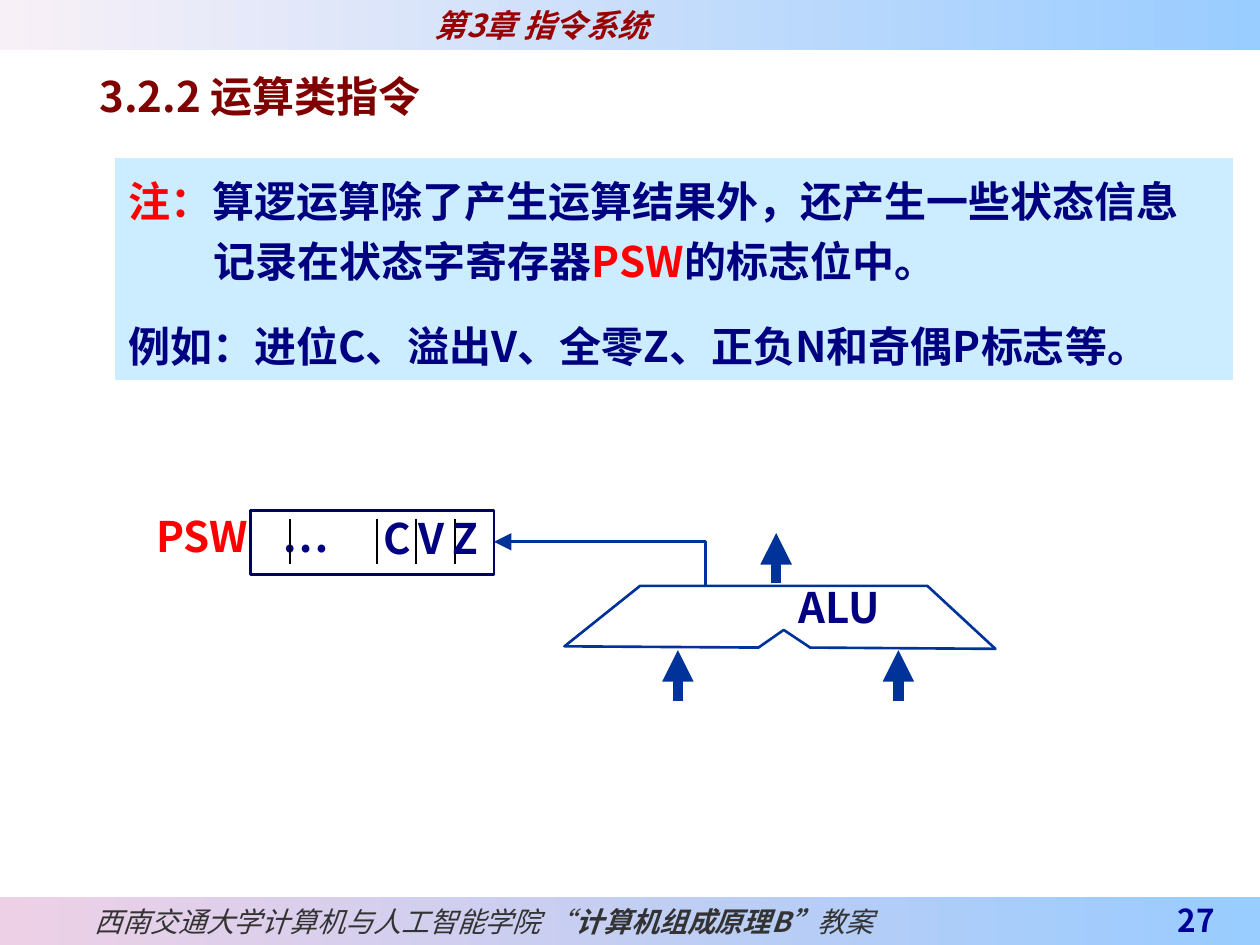
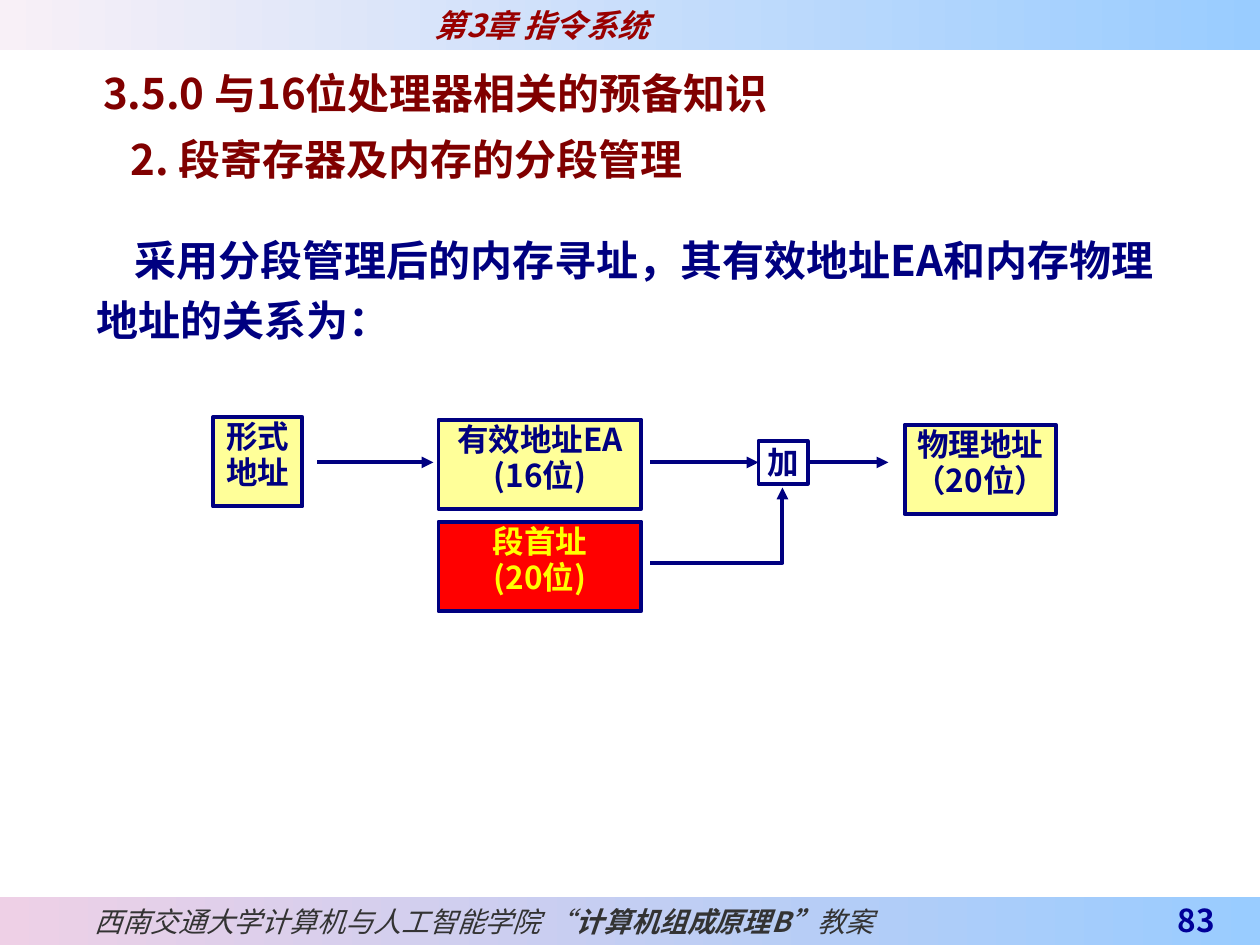
from lxml.etree import SubElement
from pptx import Presentation
from pptx.dml.color import RGBColor
from pptx.enum.shapes import MSO_CONNECTOR as Link, MSO_SHAPE as Preset
from pptx.enum.text import MSO_ANCHOR as Anchor, PP_ALIGN as Align
from pptx.oxml.ns import qn
from pptx.util import Inches, Pt

FONT = "Noto Sans CJK SC"
NAVY = RGBColor(0x00, 0x00, 0x80)
DEEP_NAVY = RGBColor(0x00, 0x00, 0x66)
ALU_BLUE = RGBColor(0x00, 0x33, 0x99)
NUMBER_BLUE = RGBColor(0x00, 0x00, 0x99)
MAROON = RGBColor(0x80, 0x00, 0x00)
CHAPTER_RED = RGBColor(0x99, 0x00, 0x00)
RED = RGBColor(0xFF, 0x00, 0x00)
YELLOW = RGBColor(0xFF, 0xFF, 0x00)
PALE_YELLOW = RGBColor(0xFF, 0xFF, 0x99)
PALE_BLUE = RGBColor(0xCC, 0xEC, 0xFF)
BAND_BLUE = RGBColor(0x99, 0xCC, 0xFF)
BAND_PINK = RGBColor(0xEE, 0xD0, 0xE6)
BAND_LIGHT = RGBColor(0xF8, 0xF0, 0xF7)
CHARCOAL = RGBColor(0x33, 0x33, 0x33)
BLACK = RGBColor(0x00, 0x00, 0x00)


def write(frame, text, *, size=24, color=NAVY, bold=True, italic=False, align=Align.LEFT,
          spacing=None, before=None, left=0, first=0, tab=None, para=None):
    """Write text as a new paragraph, or as a further span of para."""
    if para is None:
        para = frame.paragraphs[0]
        if para.runs:
            para = frame.add_paragraph()
        para.alignment = align
        if spacing:
            para.line_spacing = spacing
        if before:
            para.space_before = Pt(before)
        layout = para._p.get_or_add_pPr()
        layout.set("marL", str(Inches(left)))
        layout.set("indent", str(Inches(first)))
        if tab:
            stops = SubElement(layout, qn("a:tabLst"))
            SubElement(stops, qn("a:tab"), pos=str(Inches(tab)), algn="l")
    span = para.add_run()
    span.text = text
    font = span.font
    font.size, font.bold, font.italic = Pt(size), bold, italic
    font.color.rgb = color
    font.name = FONT
    SubElement(span._r.get_or_add_rPr(), qn("a:ea"), typeface=FONT)
    return para


def set_frame(shape, insets, anchor=Anchor.TOP):
    """Set wrapping, insets and anchor of a shape and return its text frame."""
    frame = shape.text_frame
    frame.word_wrap = True
    frame.vertical_anchor = anchor
    frame.margin_left, frame.margin_top, frame.margin_right, frame.margin_bottom = map(Inches, insets)
    return frame


def add_text(page, left, top, width, height, insets=(0.1, 0.05, 0.1, 0.05), anchor=Anchor.TOP):
    """Add a text box and return its text frame."""
    box = page.shapes.add_textbox(*map(Inches, (left, top, width, height)))
    return set_frame(box, insets, anchor)


def add_label(page, left, top, text, color=NAVY, width=1.2, tab=None):
    """Add a one-line diagram label without insets."""
    frame = add_text(page, left, top, width, 0.36, (0, 0, 0, 0))
    return write(frame, text, color=color, spacing=0.9, tab=tab)


def add_box(page, left, top, width, height, fill=None, line=None, weight=1.5):
    """Add a plain rectangle."""
    box = page.shapes.add_shape(Preset.RECTANGLE, *map(Inches, (left, top, width, height)))
    return paint(box, fill, line, weight)


def paint(shape, fill, line, weight):
    """Set the fill and outline of a shape."""
    shape.shadow.inherit = False
    if fill is None:
        shape.fill.background()
    else:
        shape.fill.solid()
        shape.fill.fore_color.rgb = fill
    if line is None:
        shape.line.fill.background()
    else:
        shape.line.color.rgb = line
        shape.line.width = Pt(weight)
    return shape


def point_end(shape, size="med"):
    """Put a triangular arrowhead at the end of a line."""
    SubElement(shape.line._get_or_add_ln(), qn("a:tailEnd"), type="triangle", w=size, len=size)


def add_line(page, start, end, color, weight, arrow=False):
    """Add a straight line between two points."""
    line = page.shapes.add_connector(Link.STRAIGHT, *map(Inches, (*start, *end)))
    line.line.color.rgb = color
    line.line.width = Pt(weight)
    if arrow:
        point_end(line)
    SubElement(line._element.spPr, qn("a:effectLst"))
    return line


def add_path(page, left, top, points, color, weight, closed=False, head="med"):
    """Add a closed outline, or an open path with an arrowhead."""
    corners = [(Inches(left + x), Inches(top + y)) for x, y in points]
    builder = page.shapes.build_freeform(*corners[0])
    builder.add_line_segments(corners[1:], close=closed)
    path = paint(builder.convert_to_shape(), None, color, weight)
    if not closed:
        point_end(path, head)
    return path


def add_band(page, top, height, start, end, text_left):
    """Add a full-width gradient band and return its text frame."""
    band = add_box(page, 0, top, 10, height)
    band.fill.gradient()
    band.fill.gradient_angle = 0
    for stop, color in zip(band.fill.gradient_stops, (start, end)):
        stop.color.rgb = color
    return set_frame(band, (text_left, 0, 0, 0), Anchor.MIDDLE)


def add_page(deck, number):
    """Add a slide with the chapter band, footer band and page number."""
    page = deck.slides.add_slide(deck.slide_layouts[6])
    footer = add_band(page, 7.12, 0.38, BAND_PINK, BAND_BLUE, 0.75)
    style = dict(size=16, color=CHARCOAL, italic=True)
    para = write(footer, "西南交通大学计算机与人工智能学院 “", bold=False, **style)
    write(footer, "计算机组成原理B”", para=para, **style)
    write(footer, "教案", bold=False, para=para, **style)
    corner = add_text(page, 8.66, 7.12, 1.08, 0.38, (0.1, 0, 0.1, 0.05), Anchor.BOTTOM)
    write(corner, str(number), size=18, color=NUMBER_BLUE, align=Align.RIGHT)
    header = add_band(page, 0, 0.4, BAND_LIGHT, BAND_BLUE, 3.45)
    write(header, "第3章 指令系统", size=18, color=CHAPTER_RED, italic=True)
    return page


def add_note(page, left, top, width, height):
    """Add the highlighted note on status flags."""
    note = add_box(page, left, top, width, height, PALE_BLUE, PALE_BLUE, 0.75)
    frame = set_frame(note, (0.1, 0.05, 0.1, 0.05))
    hanging = dict(spacing=1.2, left=0.68, first=-0.68)
    para = write(frame, "注：", color=RED, **hanging)
    write(frame, "算逻运算除了产生运算结果外，还产生一些状态信息记录在状态字寄存器", para=para)
    write(frame, "PSW", color=RED, para=para)
    write(frame, "的标志位中。", para=para)
    write(frame, "例如：进位C、溢出V、全零Z、正负N和奇偶P标志等。", before=14, **hanging)


def draw_status_register(page, left, top):
    """Draw the PSW register with its flag cells."""
    name = add_label(page, left, top + 0.05, "PSW", RED, width=1.75, tab=1.03)
    write(None, "\t…", para=name)
    add_box(page, left + 0.75, top, 1.93, 0.51, line=DEEP_NAVY)
    for x in (1.06, 1.75, 2.06, 2.37):
        add_line(page, (left + x, top + 0.07), (left + x, top + 0.43), BLACK, 1)
    flags = add_label(page, left + 1.8, top + 0.06, "C")
    for text, size in ((" ", 20), ("V", 24), (" ", 20), ("Z", 24)):
        write(None, text, size=size, para=flags)


def draw_alu(page, left, top):
    """Draw the ALU, its operand and result arrows and its status output."""
    outline = [(0.6, 0), (2.88, 0), (3.42, 0.5), (1.95, 0.49), (1.74, 0.35), (1.54, 0.49), (0, 0.48)]
    add_path(page, left, top, outline, ALU_BLUE, 1.5, closed=True)
    add_label(page, left + 1.86, top + 0.01, "ALU")
    for x, tip in ((0.9, 0.51), (2.65, 0.51), (1.68, -0.42)):
        add_line(page, (left + x, top + tip + 0.4), (left + x, top + tip), ALU_BLUE, 6, arrow=True)
    add_path(page, left, top, [(1.12, 0), (1.12, -0.35), (-0.56, -0.35)], ALU_BLUE, 1.5, head="lg")


def draw_address_flow(page, left, top):
    """Draw how the effective and segment addresses form the physical address."""
    steps = [
        (0, 0, 0.71, ("形式", "地址"), PALE_YELLOW, NAVY),
        (1.79, 0.02, 1.61, ("有效地址EA", "(16位)"), PALE_YELLOW, NAVY),
        (5.49, 0.06, 1.2, ("物理地址", "（20位）"), PALE_YELLOW, NAVY),
        (1.79, 0.83, 1.61, ("段首址", "(20位)"), RED, YELLOW),
    ]
    insets = (0, 0.02, 0, 0)
    for x, y, width, rows, fill, color in steps:
        box = add_box(page, left + x, top + y, width, 0.71, fill, NAVY, 2.25)
        for text in rows:
            write(set_frame(box, insets), text, size=18, color=color, align=Align.CENTER, spacing=0.96)
    adder = add_box(page, left + 4.33, top + 0.19, 0.39, 0.34, line=NAVY, weight=2.25)
    write(set_frame(adder, insets), "加", size=18, align=Align.CENTER)
    middle = top + 0.36
    arrows = [add_line(page, (left + start, middle), (left + end, middle), NAVY, 2.25, arrow=True)
              for start, end in ((0.83, 1.75), (3.47, 4.33), (4.72, 5.36))]
    arrows[1].end_connect(adder, 1)
    arrows[2].begin_connect(adder, 3)
    add_path(page, left, top, [(3.47, 1.16), (4.52, 1.16), (4.52, 0.56)], NAVY, 2.25)


def build_flags_slide(deck):
    """Build the slide on arithmetic instructions and status flags."""
    page = add_page(deck, 27)
    write(add_text(page, 0.69, 0.51, 9.31, 0.5), "3.2.2 运算类指令", color=MAROON)
    add_note(page, 0.92, 1.26, 8.86, 1.75)
    draw_status_register(page, 1.24, 4.05)
    draw_alu(page, 4.48, 4.65)


def build_segment_slide(deck):
    """Build the slide on segmented memory addressing."""
    page = add_page(deck, 83)
    title = add_text(page, 0.72, 0.37, 9.28, 1.15)
    write(title, "3.5.0 与16位处理器相关的预备知识", color=MAROON, spacing=1.3)
    write(title, "2. 段寄存器及内存的分段管理", color=MAROON, spacing=1.3, left=0.22)
    body = add_text(page, 0.67, 1.73, 8.83, 1.07)
    write(body, "采用分段管理后的内存寻址，其有效地址EA和内存物理地址的关系为：", spacing=1.2, first=0.3)
    draw_address_flow(page, 1.69, 3.31)


def main():
    """Build and save the deck."""
    deck = Presentation()
    deck.slide_width, deck.slide_height = Inches(10), Inches(7.5)
    build_flags_slide(deck)
    build_segment_slide(deck)
    deck.save("out.pptx")


if __name__ == "__main__":
    main()
